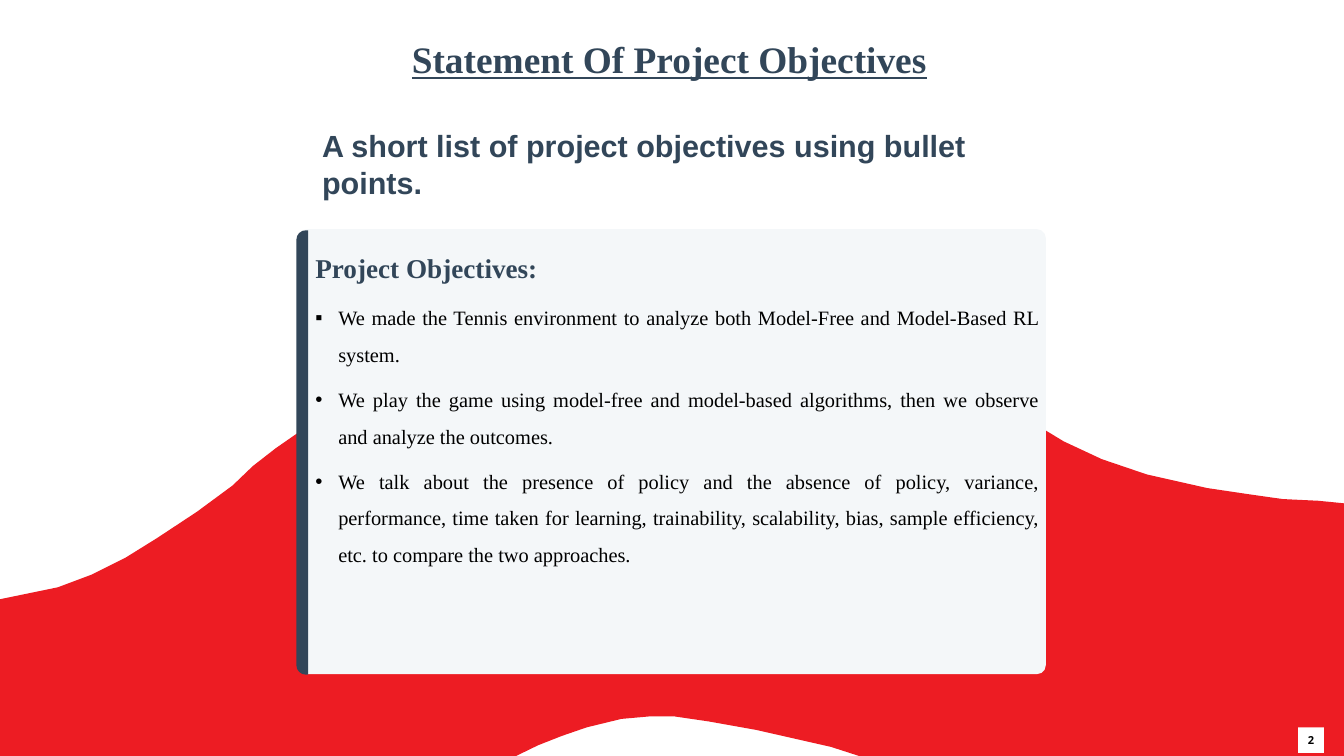
from lxml import etree
from pptx import Presentation
from pptx.dml.color import RGBColor
from pptx.enum import shapes, text
from pptx.oxml.ns import qn
from pptx.util import Pt

W, H = 1583.28, 890.64
NAVY, RED, PALE, WHITE, BLACK = "324659", "ED1C23", "F4F7F9", "FFFFFF", "000000"
SERIF = "Times New Roman"

prs = Presentation()
prs.slide_width, prs.slide_height = Pt(W), Pt(H)
s = prs.slides.add_slide(prs.slide_layouts[6])


def paint(sp, color):
    sp.shadow.inherit = False
    sp.fill.solid()
    sp.fill.fore_color.rgb = RGBColor.from_string(color)
    sp.line.fill.background()


def write(p, words, font=SERIF, size=24, color=NAVY, bold=True, underline=False,
          align=text.PP_ALIGN.LEFT, spacing=1.0, before=0, bullet=None):
    p.alignment, p.line_spacing, p.space_before = align, spacing, Pt(before)
    r = p.add_run()
    r.text = words
    r.font.name, r.font.size = font, Pt(size)
    r.font.bold, r.font.underline = bold, underline
    r.font.color.rgb = RGBColor.from_string(color)
    if bullet:
        pPr = p._p.get_or_add_pPr()
        pPr.set("marL", str(Pt(27)))
        pPr.set("indent", str(-Pt(27)))
        etree.SubElement(pPr, qn("a:buFont")).set("typeface", "Arial")
        etree.SubElement(pPr, qn("a:buChar")).set("char", bullet)


# Red wave: upper edge from left to right, then lower edge back
upper = [(0, 706), (68, 692), (108, 677), (148, 657), (185, 634), (232, 603),
         (274, 572), (298, 549), (325, 528), (361, 503), (420, 467), (490, 433),
         (564, 402), (660, 379), (738, 372), (798, 372), (880, 379), (956, 394),
         (1045, 423), (1127, 454), (1220, 500), (1253, 520), (1298, 541),
         (1351, 559), (1422, 575), (1469, 582), (1511, 588), (1553, 590), (W, 593)]
lower = [(W, H), (1012, H), (979, 880), (891, 860), (835, 850), (794, 844),
         (766, 844), (732, 847), (691, 857), (662, 867), (634, 878), (608, H), (0, H)]
wave = upper + lower

# Accent bar with rounded left corners
left, right, top, bottom = 349.2, 363, 271.4, 794.8
corner = [(10.8, 0), (6.8, 0.8), (3.2, 3.2), (0.8, 6.8), (0, 10.8)]
bar = ([(right, top)] + [(left + x, top + y) for x, y in corner]
       + [(left + x, bottom - y) for x, y in reversed(corner)] + [(right, bottom)])

# Wave, card and bar, back to front
for points, color in [(wave, RED), (bar, NAVY)]:
    fb = s.shapes.build_freeform(*[Pt(v) for v in points[0]])
    fb.add_line_segments([(Pt(x), Pt(y)) for x, y in points[1:]])
    paint(fb.convert_to_shape(), color)
    if points is wave:
        card = s.shapes.add_shape(shapes.MSO_SHAPE.ROUNDED_RECTANGLE,
                                  Pt(351.4), Pt(270), Pt(880.6), Pt(524.2))
        card.adjustments[0] = 0.02
        paint(card, PALE)

# Text boxes
frames = []
for x, y, w, h, inset, wrap in [(478, 39.6, 627, 60.5, 7.2, False),
                                (379.4, 149, 836.6, 89, 0, True),
                                (371.5, 276.5, 852.5, 510, 0, True)]:
    tf = s.shapes.add_textbox(Pt(x), Pt(y), Pt(w), Pt(h)).text_frame
    tf.word_wrap = wrap
    tf.margin_left = tf.margin_right = Pt(inset)
    tf.margin_top = tf.margin_bottom = Pt(inset / 2 or 1)
    frames.append(tf)
title, subtitle, body = frames

write(title.paragraphs[0], "Statement Of Project Objectives", size=44, underline=True)
write(subtitle.paragraphs[0], "A short list of project objectives using bullet points.",
      font="Arial", size=36)
write(body.paragraphs[0], "Project Objectives:", size=32, spacing=1.5)
for bullet, words in [
    ("▪", "We made the Tennis environment to analyze both Model-Free and "
          "Model-Based RL system."),
    ("•", "We play the game using model-free and model-based algorithms, then we "
          "observe and analyze the outcomes."),
    ("•", "We talk about the presence of policy and the absence of policy, variance, "
          "performance, time taken for learning, trainability, scalability, bias, "
          "sample efficiency, etc. to compare the two approaches."),
]:
    write(body.add_paragraph(), words, color=BLACK, bold=False, spacing=1.5, before=10,
          align=text.PP_ALIGN.JUSTIFY, bullet=bullet)

# Page number
page = s.shapes.add_shape(shapes.MSO_SHAPE.RECTANGLE, Pt(1529.3), Pt(856.8), Pt(30.2), Pt(30.2))
paint(page, WHITE)
tf = page.text_frame
tf.margin_left = tf.margin_right = tf.margin_top = tf.margin_bottom = 0
tf.vertical_anchor = text.MSO_ANCHOR.MIDDLE
write(tf.paragraphs[0], "2", font="Noto Sans", size=13, color=BLACK,
      align=text.PP_ALIGN.CENTER)

prs.save("out.pptx")
